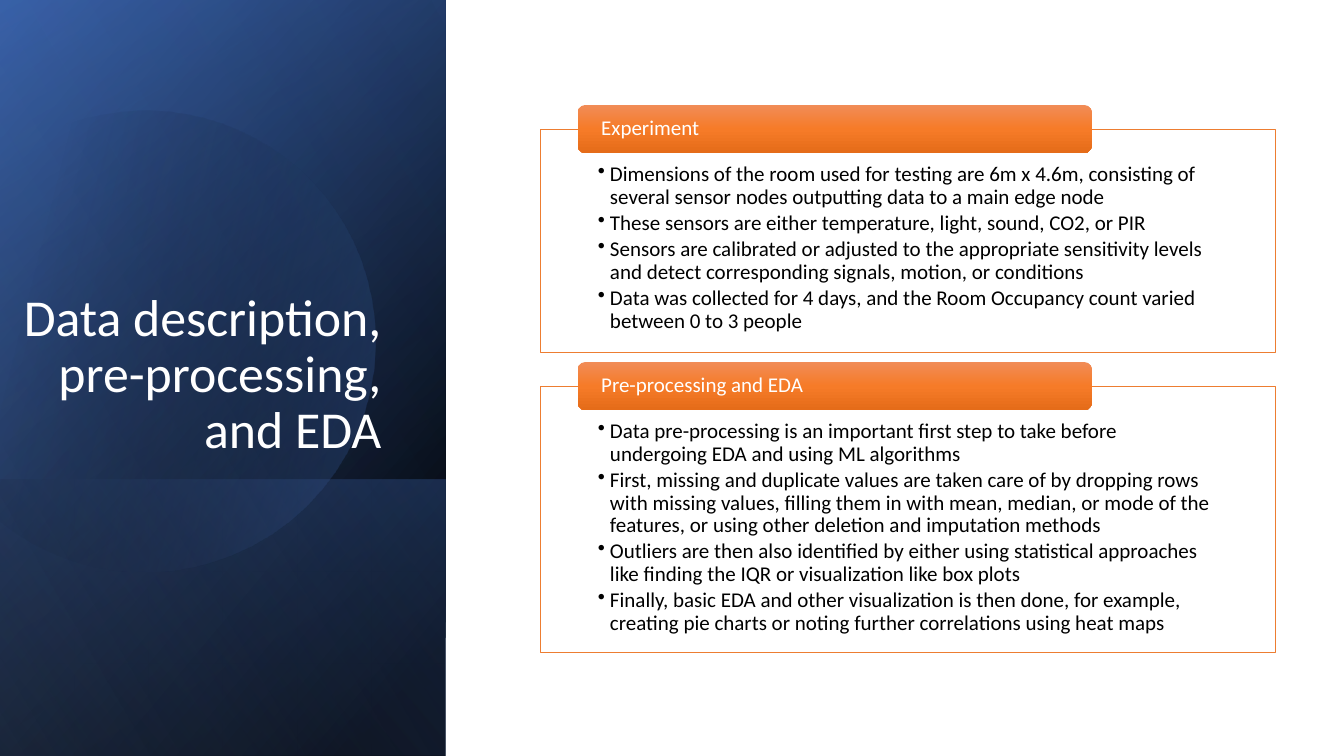
"""Build a slide with a blue gradient title band and two orange-headed text panels."""
from math import cos, radians, sin

from lxml import etree
from pptx import Presentation
from pptx.dml.color import RGBColor
from pptx.enum.shapes import MSO_SHAPE
from pptx.enum.text import MSO_ANCHOR, PP_ALIGN
from pptx.oxml import parse_xml
from pptx.oxml.ns import qn
from pptx.util import Inches, Pt

RECT, ROUND = MSO_SHAPE.RECTANGLE, MSO_SHAPE.ROUNDED_RECTANGLE
TOP, MID, LOW = MSO_ANCHOR.TOP, MSO_ANCHOR.MIDDLE, MSO_ANCHOR.BOTTOM
LEFT, RIGHT = PP_ALIGN.LEFT, PP_ALIGN.RIGHT
NS = "http://schemas.openxmlformats.org/drawingml/2006/main"
HEX = {"black": "000000", "white": "FFFFFF", "navy": "2F5597", "blue": "4472C4",
       "sky": "8FAADC", "edge": "ED7D31", "light": "F18C57", "mid": "F67B28",
       "deep": "E56C19"}


def shade(shape, stops, angle):
    """Give a shape a gradient of (position, colour, opacity) stops and no line."""
    marks = "".join(
        f'<a:gs pos="{pos * 1000}"><a:srgbClr val="{HEX[name]}">'
        f'<a:alpha val="{alpha * 1000}"/></a:srgbClr></a:gs>'
        for pos, name, alpha in stops)
    grad = parse_xml(
        f'<a:gradFill xmlns:a="{NS}" rotWithShape="1"><a:gsLst>{marks}</a:gsLst>'
        f'<a:lin ang="{angle * 60000}" scaled="0"/></a:gradFill>')
    shape.shadow.inherit = False
    shape.fill.solid()
    props = shape._element.spPr
    props.replace(props.find(qn("a:solidFill")), grad)
    shape.line.fill.background()


def write(shape, lines, size=15, color="white", align=LEFT, anchor=MID,
          inset=(0.1, 0.05, 0.1, 0.05), after=0, bullet=False):
    """Fill a shape with one paragraph per line."""
    frame = shape.text_frame
    frame.word_wrap = True
    frame.vertical_anchor = anchor
    (frame.margin_left, frame.margin_top,
     frame.margin_right, frame.margin_bottom) = map(Inches, inset)
    for i, line in enumerate(lines):
        para = frame.paragraphs[0] if i == 0 else frame.add_paragraph()
        para.alignment = align
        para.line_spacing = 0.9
        para.space_after = Pt(after)
        run = para.add_run()
        run.text = line
        run.font.name = "Calibri"
        run.font.size = Pt(size)
        run.font.color.rgb = RGBColor.from_string(HEX[color])
        if bullet:
            para.level = 1
            props = para._p.get_or_add_pPr()
            props.set("marL", str(Inches(0.12)))
            props.set("indent", str(-Inches(0.12)))
            etree.SubElement(props, qn("a:buChar"), char="•")


deck = Presentation()
deck.slide_width, deck.slide_height = Inches(13.33), Inches(7.5)
slide = deck.slides.add_slide(deck.slide_layouts[6])
shapes = slide.shapes

FULL = (-1.54, 1.54, 7.5, 4.42)
FOOT = (0.84, 3.92, 2.74, 4.42)
under = [
    (FULL, [(8, "black", 100), (100, "navy", 100)], 50),
    (FULL, [(0, "black", 0), (99, "blue", 46)], 30),
    (FOOT, [(2, "blue", 29), (100, "black", 30)], 130),
]
over = [(FULL, [(0, "black", 0), (99, "sky", 11)], 120)]

arcs = [
    [(2.46, 1.12), (3.35, 1.77), (3.63, 2.75)],
    [(3.98, 3.97), (3.28, 5.23), (2.07, 5.58)],
    [(1.31, 5.8), (0.53, 5.61), (-0.03, 5.14)],
    [(-0.15, 5.03)], [(-0.15, 1.75)], [(0, 1.61)],
    [(0.23, 1.42), (0.5, 1.28), (0.8, 1.19)],
    [(1.03, 1.13), (1.26, 1.1), (1.49, 1.1)],
]
STEPS = 16
disc = [(1.49, 1.1)]
for arc in arcs:
    if len(arc) == 1:
        disc += arc
        continue
    ends = [disc[-1]] + arc
    for n in range(1, STEPS + 1):
        t = n / STEPS
        parts = ((1 - t) ** 3, 3 * t * (1 - t) ** 2, 3 * t * t * (1 - t), t ** 3)
        disc.append(tuple(sum(w * p[k] for w, p in zip(parts, ends)) for k in (0, 1)))

TILT = 16.1
MIDX, MIDY = 1.585, 3.345
c, s = cos(radians(TILT)), sin(radians(TILT))
turned = [(Inches(MIDX + (x - MIDX) * c - (y - MIDY) * s),
           Inches(MIDY + (x - MIDX) * s + (y - MIDY) * c)) for x, y in disc]

for group in (under, over):
    for box, stops, angle in group:
        band = shapes.add_shape(RECT, *map(Inches, box))
        band.rotation = 90
        band._element.spPr.xfrm.set("flipH", "1")
        shade(band, stops, angle)
    if group is under:
        pen = shapes.build_freeform(*turned[0])
        pen.add_line_segments(turned[1:], close=True)
        round_glow = pen.convert_to_shape()
        round_glow.rotation = 360 - TILT
        shade(round_glow, [(29, "black", 0), (100, "blue", 43)], 30)

title = shapes.add_textbox(*map(Inches, (0.09, 1.09, 3.79, 3.52)))
write(title, ["Data description, pre-processing, and EDA"],
      size=37, align=RIGHT, anchor=LOW)

panels = [
    ("Experiment", 1.28, 2.22, [
        "Dimensions of the room used for testing are 6m x 4.6m, consisting of several sensor nodes outputting data to a main edge node",
        "These sensors are either temperature, light, sound, CO2, or PIR",
        "Sensors are calibrated or adjusted to the appropriate sensitivity levels and detect corresponding signals, motion, or conditions",
        "Data was collected for 4 days, and the Room Occupancy count varied between 0 to 3 people",
    ]),
    ("Pre-processing and EDA", 3.83, 2.64, [
        "Data pre-processing is an important first step to take before undergoing EDA and using ML algorithms",
        "First, missing and duplicate values are taken care of by dropping rows with missing values, filling them in with mean, median, or mode of the features, or using other deletion and imputation methods",
        "Outliers are then also identified by either using statistical approaches like finding the IQR or visualization like box plots",
        "Finally, basic EDA and other visualization is then done, for example, creating pie charts or noting further correlations using heat maps",
    ]),
]
TAB = 0.48
for head, top, high, points in panels:
    panel = shapes.add_shape(RECT, *map(Inches, (5.36, top, 7.29, high)))
    panel.shadow.inherit = False
    panel.fill.solid()
    panel.fill.fore_color.rgb = RGBColor.from_string(HEX["white"])
    panel.line.color.rgb = RGBColor.from_string(HEX["edge"])
    panel.line.width = Pt(0.5)
    write(panel, points, color="black", anchor=TOP,
          inset=(0.57, 0.34, 0.57, 0.12), after=2.5, bullet=True)
    tab = shapes.add_shape(ROUND, *map(Inches, (5.73, top - TAB / 2, 5.1, TAB)))
    shade(tab, [(0, "light", 100), (50, "mid", 100), (100, "deep", 100)], 90)
    write(tab, [head], inset=(0.21, 0, 0.21, 0))

deck.save("out.pptx")
